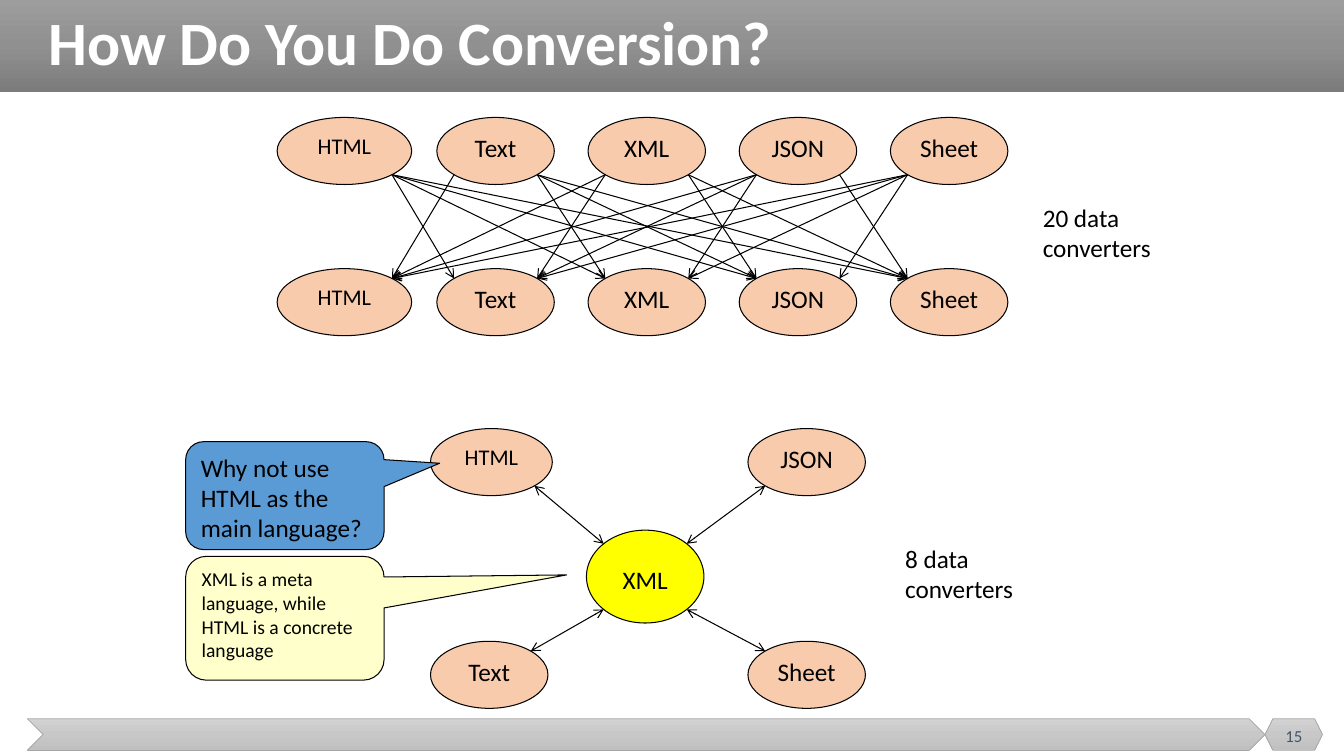
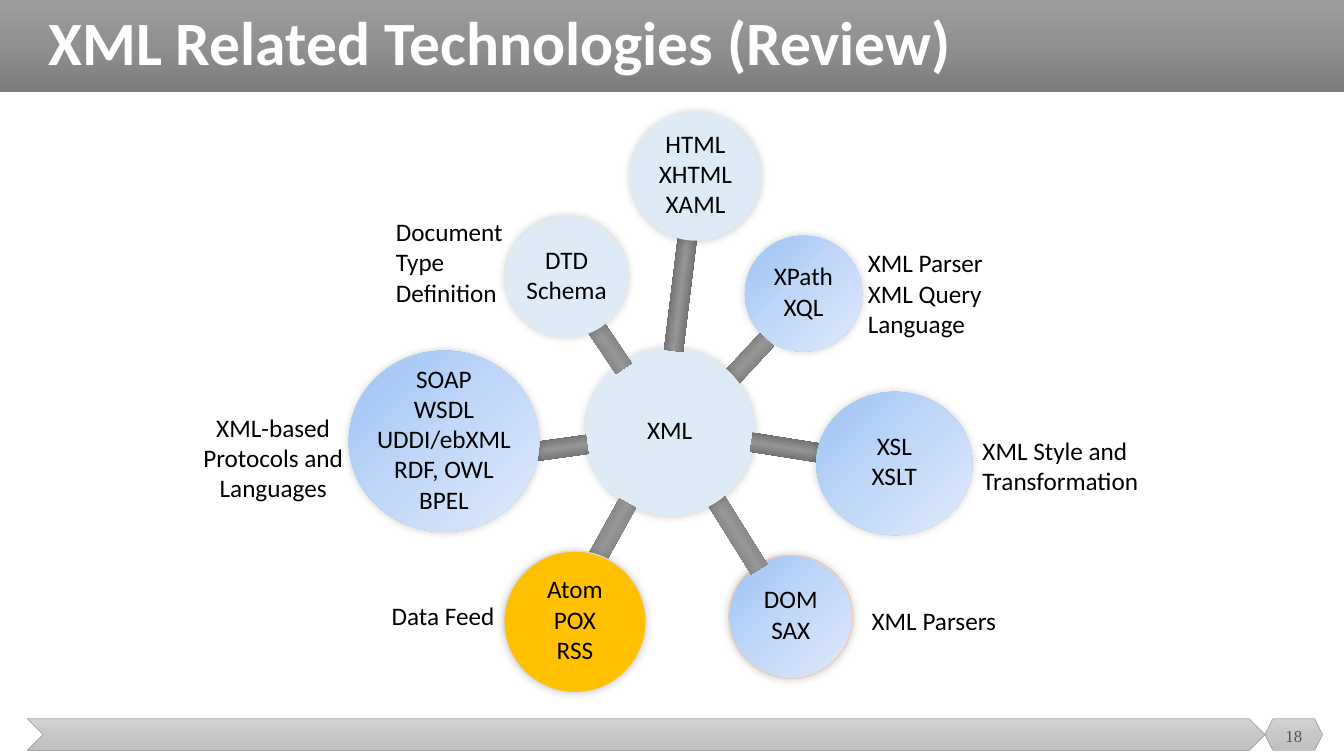
from math import cos, pi

from lxml import etree
from copy import deepcopy
from pptx import Presentation
from pptx.dml.color import RGBColor
from pptx.enum.shapes import MSO_CONNECTOR, MSO_SHAPE as SHAPE
from pptx.enum.text import MSO_ANCHOR as ANCHOR, PP_ALIGN as ALIGN
from pptx.oxml.ns import qn
from pptx.util import Cm, Pt

# Shared look
W, H = 33.87, 19.05
BAND_H = 2.31
FONT = "Calibri"
BLACK, WHITE, SLATE, GREY = "000000", "FFFFFF", "44546A", "A5A5A5"
PEACH, YELLOW, CREAM, BLUE = "F8CBAD", "FFFF00", "FFFFCC", "5B9BD5"
PALE, GOLD, MIST = "DEEBF7", "FFC000", "D6DCE5"
# Gradients: three colours and a clockwise angle
BAND = ("9D9D9D", "909090", "7C7C7C", 90)
FOOT = ("D2D2D2", "C8C8C8", "C0C0C0", 90)
SKY = ("9AC3F5", "C2D8F8", "E1EBFB", 45)
ROD = ("454545", "969696", "454545", 90)


def rgb(value):
    return RGBColor.from_string(value)


def set_fill(sp, fill):
    if isinstance(fill, str):
        sp.fill.solid()
        sp.fill.fore_color.rgb = rgb(fill)
        return
    *colours, angle = fill
    sp.fill.gradient()
    sp.fill.gradient_angle = 360 - angle
    stops = sp._element.spPr.find(qn("a:gradFill")).find(qn("a:gsLst"))
    stops.insert(1, deepcopy(stops[0]))
    for i, (stop, colour) in enumerate(zip(sp.fill.gradient_stops, colours)):
        stop.color.rgb = rgb(colour)
        stop.position = i / 2


def add_shadow(sp):
    effects = sp._element.spPr.find(qn("a:effectLst"))
    shadow = etree.SubElement(effects, qn("a:outerShdw"), blurRad=str(Pt(6)),
                              dist="0", dir="18900000", algn="ctr", rotWithShape="0")
    colour = etree.SubElement(shadow, qn("a:srgbClr"), val=BLACK)
    etree.SubElement(colour, qn("a:alpha"), val="20000")


def add_shape(s, kind, x, y, w, h, fill, line=None, width=0.75, shadow=False):
    sp = s.shapes.add_shape(kind, Cm(x), Cm(y), Cm(w), Cm(h))
    sp.shadow.inherit = False
    set_fill(sp, fill)
    if line:
        sp.line.color.rgb = rgb(line)
        sp.line.width = Pt(width)
    else:
        sp.line.fill.background()
    if shadow:
        add_shadow(sp)
    return sp


def write(sp, text, size=18, colour=BLACK, align=ALIGN.LEFT, anchor=ANCHOR.TOP,
          font=FONT, bold=False, spacing=None):
    tf = sp.text_frame
    tf.word_wrap = True
    tf.vertical_anchor = anchor
    for i, line in enumerate(text.split("\n")):
        p = tf.add_paragraph() if i else tf.paragraphs[0]
        p.text = line
        p.alignment = align
        p.line_spacing = spacing
        p.font.name = font
        p.font.size = Pt(size)
        p.font.bold = bold
        p.font.color.rgb = rgb(colour)
    return tf


def add_text(s, x, y, w, h, text, **style):
    return write(s.shapes.add_textbox(Cm(x), Cm(y), Cm(w), Cm(h)), text, **style)


def add_arrow(s, start, end, both=False):
    line = s.shapes.add_connector(MSO_CONNECTOR.STRAIGHT, *map(Cm, start + end))
    line.line.color.rgb = rgb(BLACK)
    line.line.width = Pt(0.75)
    ln = line.line._get_or_add_ln()
    if both:
        etree.SubElement(ln, qn("a:headEnd"), type="arrow")
    etree.SubElement(ln, qn("a:tailEnd"), type="arrow")
    etree.SubElement(line._element.spPr, qn("a:effectLst"))


def add_frame(prs, title, number, number_font=FONT):
    """New slide with title band, footer and page number."""
    s = prs.slides.add_slide(prs.slide_layouts[6])
    add_shape(s, SHAPE.RECTANGLE, 0, 0, W, BAND_H, BAND)
    add_shape(s, SHAPE.CHEVRON, 0.69, 18.11, 31.19, 0.8, FOOT, GREY, 0.5)
    add_shape(s, SHAPE.HEXAGON, 31.88, 18.11, 1.45, 0.8, FOOT, GREY, 0.5)
    add_text(s, 0.97, 0, 32.36, BAND_H, title, size=44, colour=WHITE, bold=True,
             anchor=ANCHOR.MIDDLE, spacing=0.9)
    add_text(s, 31.88, 18.03, 1.45, 1.02, number, size=12, colour=SLATE,
             align=ALIGN.CENTER, anchor=ANCHOR.MIDDLE, font=number_font)
    return s


# Conversion diagrams
NODE_W, NODE_H = 2.96, 1.69


def add_node(s, x, y, text, w=NODE_W, h=NODE_H, fill=PEACH, spacing=None):
    sp = add_shape(s, SHAPE.OVAL, x, y, w, h, fill, BLACK)
    write(sp, text, size=16 if text == "HTML" else 18, align=ALIGN.CENTER,
          spacing=spacing)
    return x, y, w, h


def rim(node, right, down):
    """Point on the node's outline at 45 degrees; right and down are 1 or -1."""
    x, y, w, h = node
    k = cos(pi / 4)
    return x + w / 2 * (1 + right * k), y + h / 2 * (1 + down * k)


def pairwise_converters(s, x, y):
    """Two rows of formats, each one converted to every other."""
    formats = ["HTML", "Text", "XML", "JSON", "Sheet"]
    pitch = 3.81
    rows = []
    for row in range(2):
        nodes = []
        for i, name in enumerate(formats):
            w = NODE_W if i else 3.39
            left = x + 1.69 + i * pitch - w / 2
            nodes.append(add_node(s, left, y + row * pitch, name, w))
        rows.append(nodes)
    for i, source in enumerate(rows[0]):
        for j, target in enumerate(rows[1]):
            if i != j:
                side = 1 if j > i else -1
                add_arrow(s, rim(source, side, 1), rim(target, -side, -1))
    add_text(s, x + 19.04, y + 2.02, 3.6, 1.8, "20 data converters")


def hub_converters(s, x, y):
    """Formats converted through one central language, with two callouts."""
    hub = add_node(s, x + 10.1, y + 2.56, "XML", h=2.34, fill=YELLOW, spacing=1.5)
    corners = [("HTML", -1, -1, 3.07), ("JSON", 1, -1, NODE_W),
               ("Text", -1, 1, NODE_W), ("Sheet", 1, 1, NODE_W)]
    for name, right, down, w in corners:
        node = add_node(s, x + 10.17 + 4 * right, y + 2.68 * (1 + down), name, w)
        add_arrow(s, rim(node, -right, -down), rim(hub, right, down), both=True)
    add_text(s, x + 17.88, y + 2.76, 3.6, 1.8, "8 data converters")
    callouts = [
        (0.33, 2.72, BLUE, 18, 0.78, -0.3, "Why not use HTML as the main language?"),
        (3.22, 3.12, CREAM, 14, 1.42, -0.35,
         "XML is a meta language, while HTML is a concrete language"),
    ]
    for top, h, fill, size, tip_x, tip_y, text in callouts:
        sp = add_shape(s, SHAPE.ROUNDED_RECTANGULAR_CALLOUT, x, y + top, 5, h,
                       fill, BLACK)
        sp.adjustments[0], sp.adjustments[1] = tip_x, tip_y
        write(sp, text, size=size)


# Technology wheel
def add_disc(s, cx, cy, w, h, fill, text, line=None):
    sp = add_shape(s, SHAPE.OVAL, cx - w / 2, cy - h / 2, w, h, fill, line,
                   shadow=True)
    tf = write(sp, text, align=ALIGN.CENTER, anchor=ANCHOR.MIDDLE)
    tf.word_wrap = False
    tf.margin_left = tf.margin_right = tf.margin_top = 0
    tf.margin_bottom = Cm(0.14)


def add_rod(s, cx, cy, length, angle):
    thick = 0.48
    sp = add_shape(s, SHAPE.RECTANGLE, cx - length / 2, cy - thick / 2, length,
                   thick, ROD)
    sp.rotation = angle


def technology_wheel(s, cx, cy):
    """XML hub at (cx, cy), with rods to the discs around it."""
    # Rod (x, y, length, angle), disc (x, y, w, h, fill, text, line)
    behind = [
        ((1.57, 2.37, 2.57, 238), (3.05, 4.66, 3.12, 3.1, SKY, "DOM\nSAX", PEACH)),
        ((1.9, -1.73, 1.6, 313), (3.37, -3.48, 2.95, 2.92, SKY, "XPath\nXQL")),
    ]
    in_front = [
        ((-1.77, -2.5, 2.18, 236), (-2.6, -3.9, 3.1, 3.05, PALE, "DTD\nSchema")),
        ((3.1, 0.43, 2.11, 9), (5.66, 0.8, 3.94, 3.61, SKY, "XSL\nXSLT")),
        ((-3.52, 0.52, 2.9, 352), (-5.69, 0.24, 4.8, 4.57, SKY,
                                   "SOAP\nWSDL\nUDDI/ebXML\nRDF, OWL\nBPEL")),
        ((-1.77, 3.07, 2.9, 119), (-2.39, 4.79, 3.58, 3.56, GOLD,
                                   "Atom\nPOX\nRSS", MIST)),
        ((0.27, -3.48, 2.9, 97), (0.65, -6.44, 3.3, 3.25, PALE,
                                  "HTML\nXHTML\nXAML")),
    ]
    for (rx, ry, *rod), (dx, dy, *disc) in behind:
        add_disc(s, cx + dx, cy + dy, *disc)
        add_rod(s, cx + rx, cy + ry, *rod)
    add_disc(s, cx, cy, 4.29, 4.24, PALE, "XML")
    for (rx, ry, *rod), (dx, dy, *disc) in in_front:
        add_rod(s, cx + rx, cy + ry, *rod)
        add_disc(s, cx + dx, cy + dy, *disc)

    # Labels beside the discs
    labels = [
        (7.63, -0.04, 4.8, 2.57, ALIGN.LEFT, "XML Style and\nTransformation"),
        (-7.15, -5.55, 3.5, 2.57, ALIGN.LEFT, "Document\nType Definition"),
        (4.74, -4.76, 4.32, 2.57, ALIGN.LEFT, "XML Parser\nXML Query\nLanguage"),
        (4.18, 4.25, 4.95, 1.02, ALIGN.CENTER, "XML Parsers"),
        (-12.66, -0.62, 5.33, 2.57, ALIGN.CENTER,
         "XML-based\nProtocols and Languages"),
        (-8.19, 4.13, 4.95, 1.02, ALIGN.CENTER, "Data Feed"),
    ]
    for x, y, w, h, align, text in labels:
        add_text(s, cx + x, cy + y, w, h, text, align=align)


def main():
    prs = Presentation()
    prs.slide_width, prs.slide_height = Cm(W), Cm(H)

    s = add_frame(prs, "How Do You Do Conversion?", "15")
    pairwise_converters(s, 6.99, 2.96)
    hub_converters(s, 4.68, 10.8)

    s = add_frame(prs, "XML Related Technologies (Review)", "18", "Times New Roman")
    technology_wheel(s, 16.88, 10.88)

    prs.save("out.pptx")


if __name__ == "__main__":
    main()
